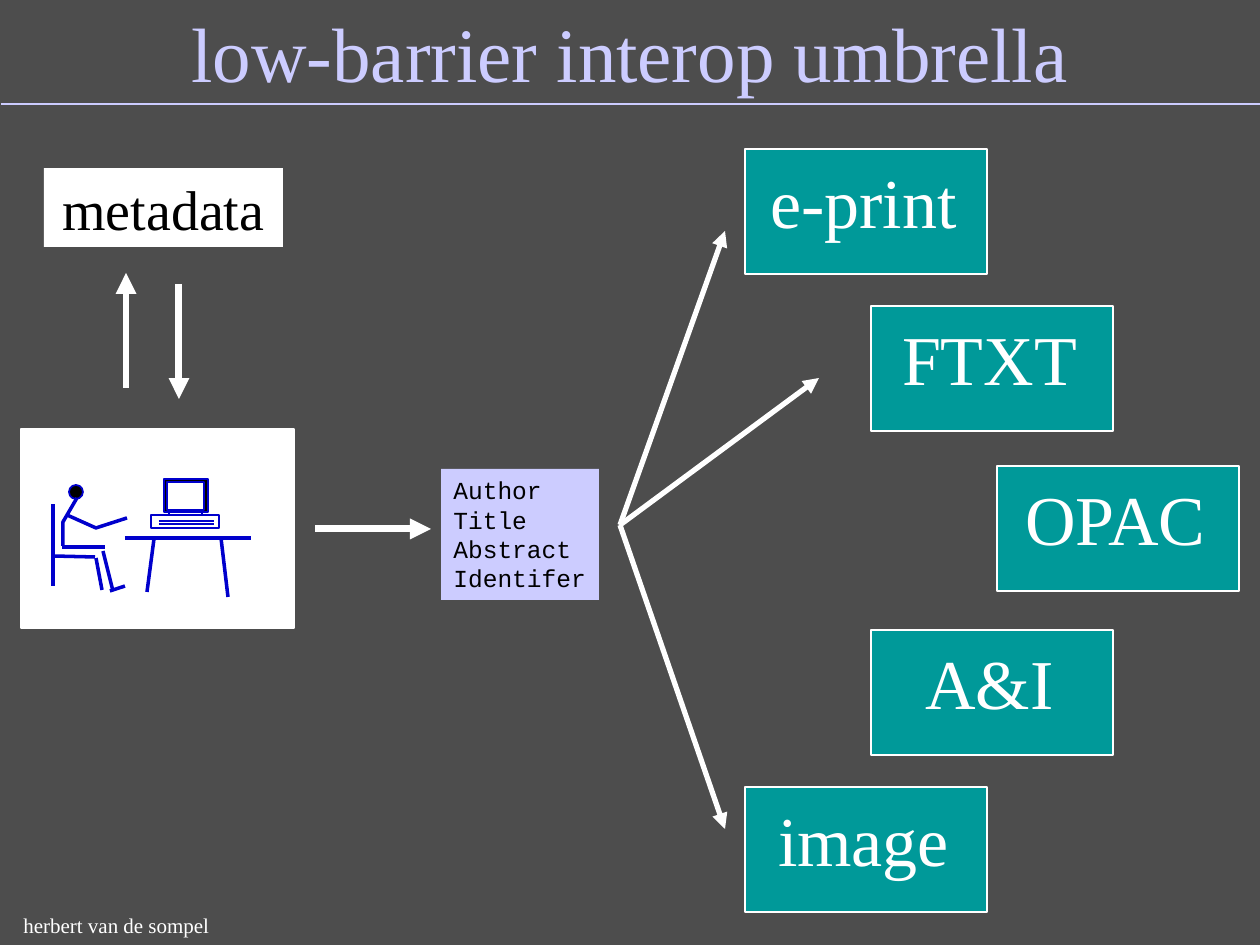
from typing import NamedTuple

from lxml.etree import SubElement
from pptx import Presentation
from pptx.dml.color import RGBColor
from pptx.enum.shapes import MSO_CONNECTOR, MSO_SHAPE
from pptx.enum.text import MSO_ANCHOR as Anchor, PP_ALIGN as Align
from pptx.oxml.ns import qn
from pptx.util import Emu, Pt

PX = 914400 / 126
SERIF, MONO = "Times New Roman", "Courier New"
WHITE, BLACK, LAVENDER = "FFFFFF", "000000", "CCCCFF"
TEAL, BLUE, GREY = "009999", "0000CC", "4D4D4D"


class Box(NamedTuple):
    left: int
    top: int
    width: int
    height: int


class Stroke(NamedTuple):
    x1: int
    y1: int
    x2: int
    y2: int
    weight: int = 2


class Collection(NamedTuple):
    label: str
    left: int
    top: int


def px(value: int) -> Emu:
    return Emu(round(value * PX))


def color(hex_code: str) -> RGBColor:
    return RGBColor.from_string(hex_code)


def add_block(shapes, box: Box, fill: str, line: str = "", kind=MSO_SHAPE.RECTANGLE):
    block = shapes.add_shape(kind, *map(px, box))
    block.shadow.inherit = False
    block.fill.solid()
    block.fill.fore_color.rgb = color(fill)
    if line:
        block.line.color.rgb = color(line)
        block.line.width = Pt(1)
    else:
        block.line.fill.background()
    return block


def write(holder, text: str, *, size: int, font: str = SERIF, ink: str = WHITE,
          align=Align.LEFT, anchor=Anchor.TOP, wrap: bool = True) -> None:
    frame = holder.text_frame
    frame.word_wrap = wrap
    frame.vertical_anchor = anchor
    frame.text = text
    for paragraph in frame.paragraphs:
        paragraph.alignment = align
        paragraph.font.size = Pt(size)
        paragraph.font.name = font
        paragraph.font.color.rgb = color(ink)


def add_label(shapes, box: Box, text: str, **style) -> None:
    write(shapes.add_textbox(*map(px, box)), text, **style)


def add_stroke(shapes, stroke: Stroke, ink: str, arrow: bool = False) -> None:
    connector = shapes.add_connector(MSO_CONNECTOR.STRAIGHT, *map(px, stroke[:4]))
    connector.line.color.rgb = color(ink)
    connector.line.width = Pt(stroke.weight)
    if arrow:
        outline = connector._element.spPr.find(qn("a:ln"))
        SubElement(outline, qn("a:tailEnd"), type="triangle")
    SubElement(connector._element.spPr, qn("a:effectLst"))


def add_bent_limb(shapes, points: list[tuple[int, int]]) -> None:
    builder = shapes.build_freeform(*points[0], scale=PX)
    builder.add_line_segments(points[1:], close=False)
    limb = builder.convert_to_shape()
    limb.shadow.inherit = False
    limb.fill.background()
    limb.line.color.rgb = color(BLUE)
    limb.line.width = Pt(2)


def add_user_at_desk(shapes) -> None:
    add_block(shapes, Box(21, 429, 273, 199), WHITE, WHITE)
    # Computer: stand, keyboard, bezel, screen
    for part, fill in [(Box(169, 505, 33, 19), WHITE), (Box(151, 515, 68, 13), WHITE),
                       (Box(164, 479, 44, 33), BLACK), (Box(167, 482, 37, 28), WHITE)]:
        add_block(shapes, part, fill, BLUE)
    key_rows = [Stroke(159, y, 214, y, 1) for y in (521, 524)]
    desk = [Stroke(125, 538, 251, 538), Stroke(154, 539, 147, 592),
            Stroke(228, 597, 221, 538)]
    chair = [Stroke(53, 504, 53, 586), Stroke(53, 556, 95, 557),
             Stroke(96, 558, 102, 590)]
    leg = [Stroke(62, 547, 105, 547), Stroke(103, 551, 113, 591),
           Stroke(110, 591, 125, 586)]
    for stroke in key_rows + desk + chair + leg:
        add_stroke(shapes, stroke, BLUE)
    # Head, torso and arm
    add_block(shapes, Box(69, 485, 14, 14), BLACK, BLUE, MSO_SHAPE.OVAL)
    add_bent_limb(shapes, [(77, 498), (63, 522), (63, 546)])
    add_bent_limb(shapes, [(67, 515), (96, 528), (127, 518)])


def add_collection(shapes, item: Collection) -> None:
    group = shapes.add_group_shape().shapes
    add_block(group, Box(item.left, item.top, 242, 125), TEAL, WHITE)
    add_label(group, Box(item.left + 12, item.top + 3, 213, 97), item.label,
              size=40, align=Align.CENTER)


COLLECTIONS = [
    Collection("e-print", 745, 149),
    Collection("FTXT", 871, 306),
    Collection("OPAC", 997, 466),
    Collection("A&I", 871, 630),
    Collection("image", 745, 787),
]
FLOW_ARROWS = [Stroke(126, 388, 126, 273, 4), Stroke(179, 284, 179, 399, 4),
               Stroke(315, 529, 431, 529, 4)]
FAN_ARROWS = [Stroke(620, 525, x, y, 3) for x, y in [(725, 231), (819, 378), (725, 829)]]


def main() -> None:
    deck = Presentation()
    deck.slide_width, deck.slide_height = px(1260), px(945)
    slide = deck.slides.add_slide(deck.slide_layouts[6])
    slide.background.fill.solid()
    slide.background.fill.fore_color.rgb = color(GREY)
    shapes = slide.shapes

    # Title, rule and author
    add_label(shapes, Box(0, 20, 1260, 63), "low-barrier interop umbrella", size=44,
              ink=LAVENDER, align=Align.CENTER, anchor=Anchor.MIDDLE)
    add_stroke(shapes, Stroke(1, 104, 1260, 104, 1), LAVENDER)
    add_label(shapes, Box(11, 906, 230, 38), "herbert van de sompel", size=12)

    # User and metadata service
    add_user_at_desk(shapes.add_group_shape().shapes)
    metadata = add_block(shapes, Box(44, 168, 239, 79), WHITE)
    write(metadata, "metadata", size=32, ink=BLACK, align=Align.CENTER)

    # Collections under the umbrella
    for item in COLLECTIONS:
        add_collection(shapes, item)

    # Metadata record and arrows
    record = add_block(shapes, Box(441, 469, 158, 131), LAVENDER)
    write(record, "Author\nTitle\nAbstract\nIdentifer", size=14, font=MONO,
          ink=BLACK, wrap=False)
    for arrow in FLOW_ARROWS + FAN_ARROWS:
        add_stroke(shapes, arrow, WHITE, arrow=True)

    deck.save("out.pptx")


if __name__ == "__main__":
    main()
